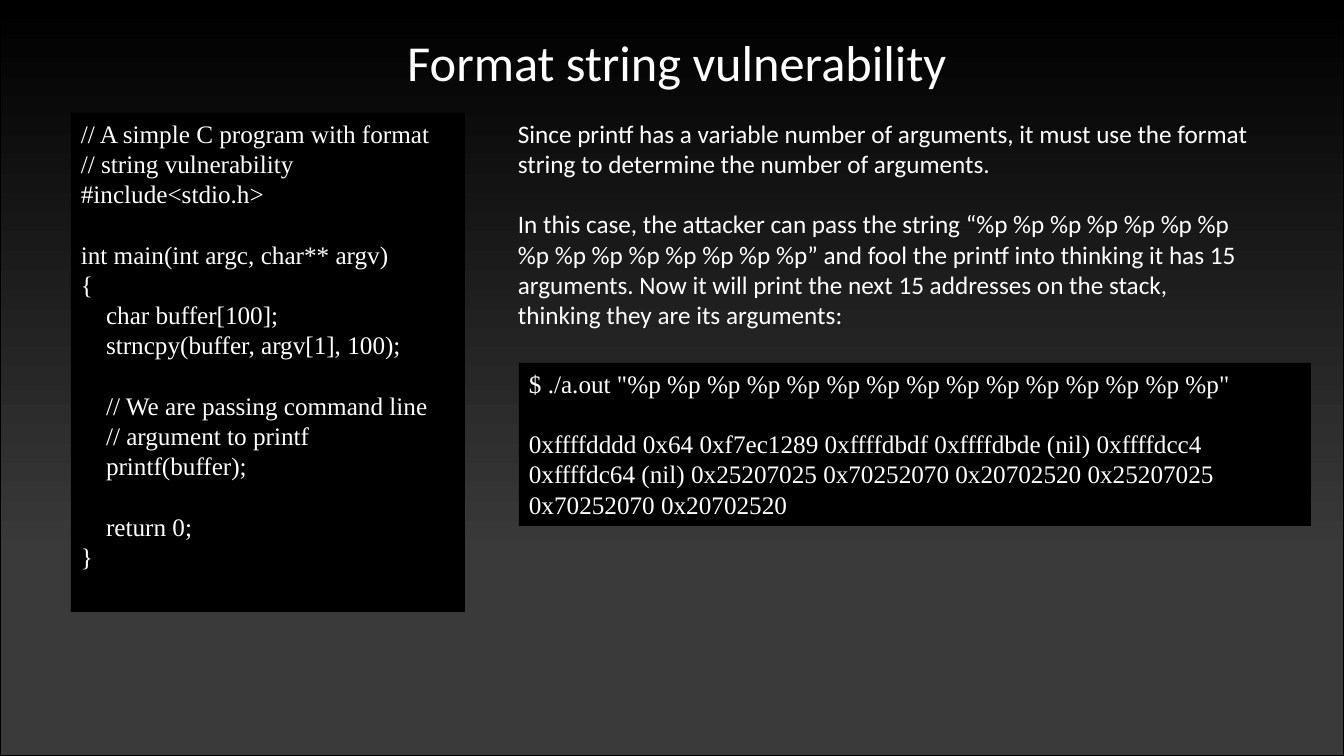
"""Build the slide that explains a format string vulnerability."""
import pptx
import pptx.dml.color
import pptx.enum.shapes
import pptx.enum.text
import pptx.util

EMU_PER_PX = 914400 / 100.8
WIDTH, HEIGHT = 1344, 756
BLACK = pptx.dml.color.RGBColor(0x00, 0x00, 0x00)
GREY = pptx.dml.color.RGBColor(0x3A, 0x3A, 0x3A)
WHITE = pptx.dml.color.RGBColor(0xFF, 0xFF, 0xFF)
PROSE_FONT = "Calibri"
CODE_FONT = "Times New Roman"
LINE_RATIO = 1.2
LEFT = pptx.enum.text.PP_ALIGN.LEFT
CENTER = pptx.enum.text.PP_ALIGN.CENTER

PROGRAM = """\
// A simple C program with format
// string vulnerability
#include<stdio.h>

int main(int argc, char** argv)
{
    char buffer[100];
    strncpy(buffer, argv[1], 100);

    // We are passing command line
    // argument to printf
    printf(buffer);

    return 0;
}"""

EXPLANATION = (
    "Since printf has a variable number of arguments, it must use the format "
    "string to determine the number of arguments.\n\n"
    "In this case, the attacker can pass the string “%p %p %p %p %p %p %p %p %p "
    "%p %p %p %p %p %p” and fool the printf into thinking it has 15 arguments. "
    "Now it will print the next 15 addresses on the stack, thinking they are its "
    "arguments:"
)

SESSION = (
    '$ ./a.out "%p %p %p %p %p %p %p %p %p %p %p %p %p %p %p"\n\n'
    "0xffffdddd 0x64 0xf7ec1289 0xffffdbdf 0xffffdbde (nil) 0xffffdcc4 "
    "0xffffdc64 (nil) 0x25207025 0x70252070 0x20702520 0x25207025 "
    "0x70252070 0x20702520"
)


def px(*lengths):
    """Turn pixel lengths into EMU."""
    return [pptx.util.Emu(round(length * EMU_PER_PX)) for length in lengths]


def write_text(box, text, font, size=18, align=LEFT):
    """Write one paragraph per line, turning an empty line into space before the next."""
    frame = box.text_frame
    frame.word_wrap = True
    frame.vertical_anchor = pptx.enum.text.MSO_ANCHOR.TOP
    pitch = pptx.util.Pt(size * LINE_RATIO)
    para, gap = frame.paragraphs[0], False
    for number, line in enumerate(text.split("\n")):
        if not line:
            gap = True
            continue
        if number:
            para = frame.add_paragraph()
        para.alignment = align
        para.line_spacing = pitch
        if gap:
            para.space_before = pitch
        gap = False
        span = para.add_run()
        span.text = line
        span.font.name = font
        span.font.size = pptx.util.Pt(size)
        span.font.color.rgb = WHITE


def add_rectangle(page, bounds):
    """Add a plain rectangle without shadow."""
    box = page.shapes.add_shape(pptx.enum.shapes.MSO_SHAPE.RECTANGLE, *px(*bounds))
    box.shadow.inherit = False
    return box


def add_backdrop(page):
    """Cover the page with a gradient from black down to grey."""
    background = page.background.fill
    background.solid()
    background.fore_color.rgb = BLACK
    box = add_rectangle(page, (0, 0, WIDTH, HEIGHT))
    box.fill.gradient()
    box.fill.gradient_angle = 270
    for stop, position, color in zip(box.fill.gradient_stops, (0, 0.74), (BLACK, GREY)):
        stop.position = position
        stop.color.rgb = color
    box.line.color.rgb = BLACK
    box.line.width = pptx.util.Pt(1)


def add_code(page, bounds, text):
    """Add a black panel holding code."""
    box = add_rectangle(page, bounds)
    box.fill.solid()
    box.fill.fore_color.rgb = BLACK
    box.line.fill.background()
    write_text(box, text, CODE_FONT)


def add_prose(page, bounds, text, **style):
    """Add a text box holding prose."""
    box = page.shapes.add_textbox(*px(*bounds))
    write_text(box, text, PROSE_FONT, **style)


def main():
    """Build and save the deck."""
    deck = pptx.Presentation()
    deck.slide_width, deck.slide_height = px(WIDTH, HEIGHT)
    page = deck.slides.add_slide(deck.slide_layouts[6])
    add_backdrop(page)
    add_prose(page, (43, 26, 1268, 72), "Format string vulnerability", size=36, align=CENTER)
    add_code(page, (71, 113, 394, 499), PROGRAM)
    add_prose(page, (508, 113, 751, 224), EXPLANATION)
    add_code(page, (519, 363, 792, 163), SESSION)
    deck.save("out.pptx")


if __name__ == "__main__":
    main()
